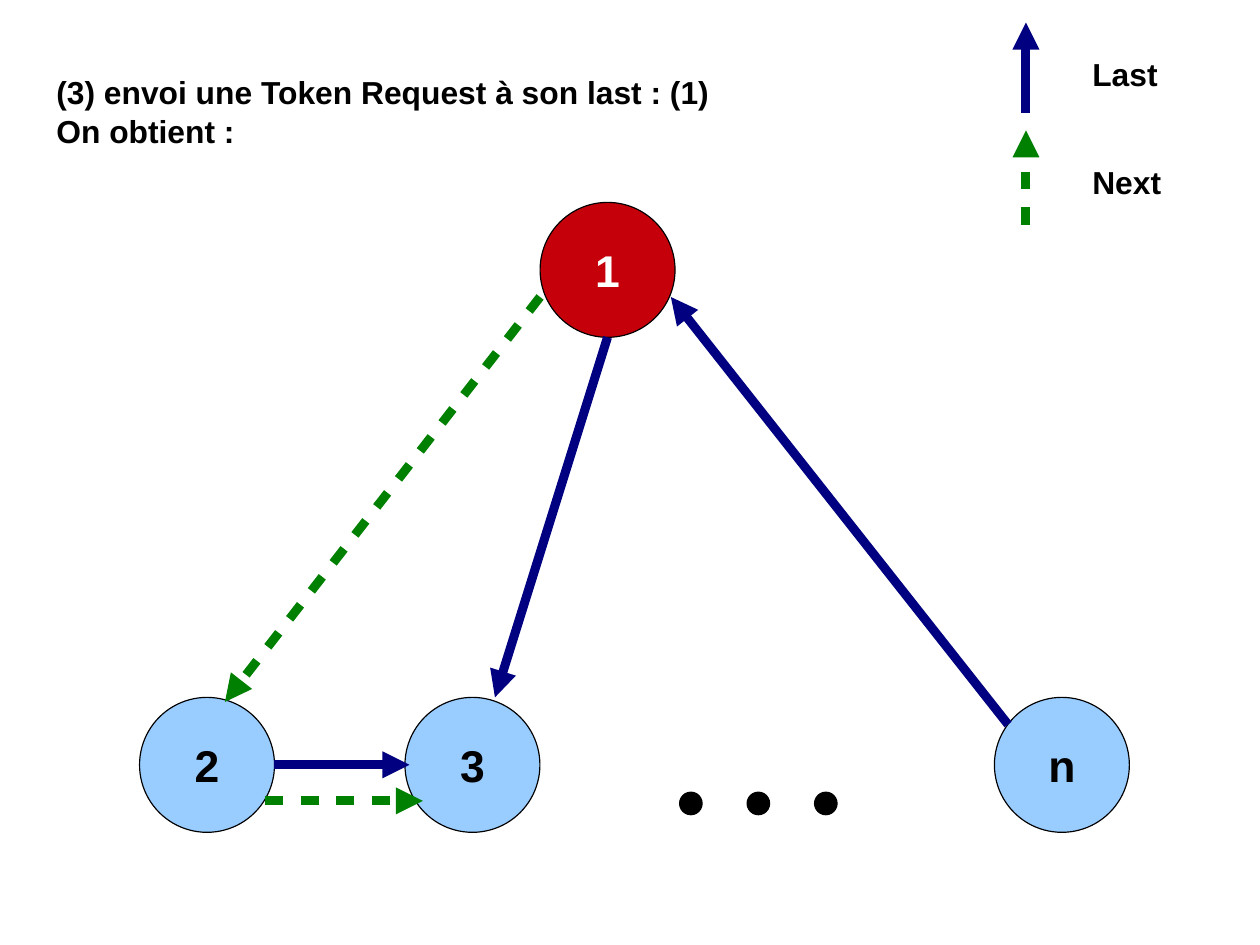
"""Draw the token ring slide: four nodes, their last and next links, and a legend."""
from collections import namedtuple

from lxml import etree
from pptx import Presentation
from pptx import util as u
from pptx.dml.color import RGBColor as Rgb
from pptx.enum import shapes, text
from pptx.oxml import ns

Theme = namedtuple("Theme", "root node ink pale last next font big small line")
theme = Theme(
    root=Rgb.from_string("C5000B"), node=Rgb.from_string("99CCFF"),
    ink=Rgb.from_string("000000"), pale=Rgb.from_string("FFFFFF"),
    last=Rgb.from_string("000080"), next=Rgb.from_string("008000"),
    font="Arial", big=u.Pt(28), small=u.Pt(20), line=u.Pt(5.67))

deck = Presentation()
deck.slide_width, deck.slide_height = u.Pt(793.7), u.Pt(595.28)
slide = deck.slides.add_slide(deck.slide_layouts[5])


def write(para, words, size, ink, align):
    """Add one bold run to a paragraph."""
    para.alignment = align
    run = para.add_run()
    run.text = words
    run.font.name, run.font.size, run.font.bold = theme.font, size, True
    run.font.color.rgb = ink


def disc(left, top, size, fill):
    """Add a filled circle with a hairline edge."""
    shape = slide.shapes.add_shape(
        shapes.MSO_SHAPE.OVAL, u.Pt(left), u.Pt(top), u.Pt(size), u.Pt(size))
    shape.shadow.inherit = False
    shape.fill.solid()
    shape.fill.fore_color.rgb = fill
    shape.line.color.rgb = theme.ink
    shape.line.width = u.Pt(0)
    return shape


title = slide.shapes.title
title.left, title.top, title.width, title.height = map(u.Pt, (28.3, 42, 468, 52))
frame = title.text_frame
frame.word_wrap = True
frame.auto_size = text.MSO_AUTO_SIZE.NONE
frame.vertical_anchor = text.MSO_ANCHOR.TOP
lines = ["(3) envoi une Token Request à son last : (1)", "On obtient :"]
for num, words in enumerate(lines):
    para = frame.add_paragraph() if num else frame.paragraphs[0]
    para.space_before = u.Pt(num)
    write(para, words, theme.small, theme.ink, text.PP_ALIGN.LEFT)

nodes = [
    ("1", 340.2, 127.5, theme.root, theme.pale),
    ("2", 87.9, 439.3, theme.node, theme.ink),
    ("3", 255.1, 439.3, theme.node, theme.ink),
    ("n", 626.4, 439.3, theme.node, theme.ink),
]
for name, left, top, fill, ink in nodes:
    frame = disc(left, top, 85, fill).text_frame
    frame.vertical_anchor = text.MSO_ANCHOR.MIDDLE
    write(frame.paragraphs[0], name, theme.big, ink, text.PP_ALIGN.CENTER)

for num in range(3):
    disc(428.1 + 42.5 * num, 499, 14.2, theme.ink)

for words, top in [("Last", 31), ("Next", 99)]:
    box = slide.shapes.add_textbox(u.Pt(681), u.Pt(top), u.Pt(57.6), u.Pt(29.5))
    box.text_frame.word_wrap = False
    write(box.text_frame.paragraphs[0], words, theme.small, theme.ink, text.PP_ALIGN.LEFT)

links = [
    (theme.last, 646.3, 70.9, 646.3, 14.2),
    (theme.next, 646.3, 141.7, 646.3, 82.2),
    (theme.last, 635, 456.4, 422.6, 187.1),
    (theme.last, 172.9, 481.8, 257.9, 481.8),
    (theme.last, 382.7, 212.5, 311.8, 439.3),
    (theme.next, 340.2, 187.1, 141.7, 442.2),
    (theme.next, 167.2, 504.5, 266.4, 504.5),
]
for ink, *ends in links:
    link = slide.shapes.add_connector(shapes.MSO_CONNECTOR.STRAIGHT, *map(u.Pt, ends))
    link.line.color.rgb = ink
    link.line.width = theme.line
    edge = link.line._get_or_add_ln()
    if ink == theme.next:
        dash = etree.SubElement(edge, ns.qn("a:custDash"))
        etree.SubElement(dash, ns.qn("a:ds"), d="197000", sp="197000")
    etree.SubElement(edge, ns.qn("a:tailEnd"), type="triangle")
    etree.SubElement(link._element.spPr, ns.qn("a:effectLst"))

deck.save("out.pptx")
